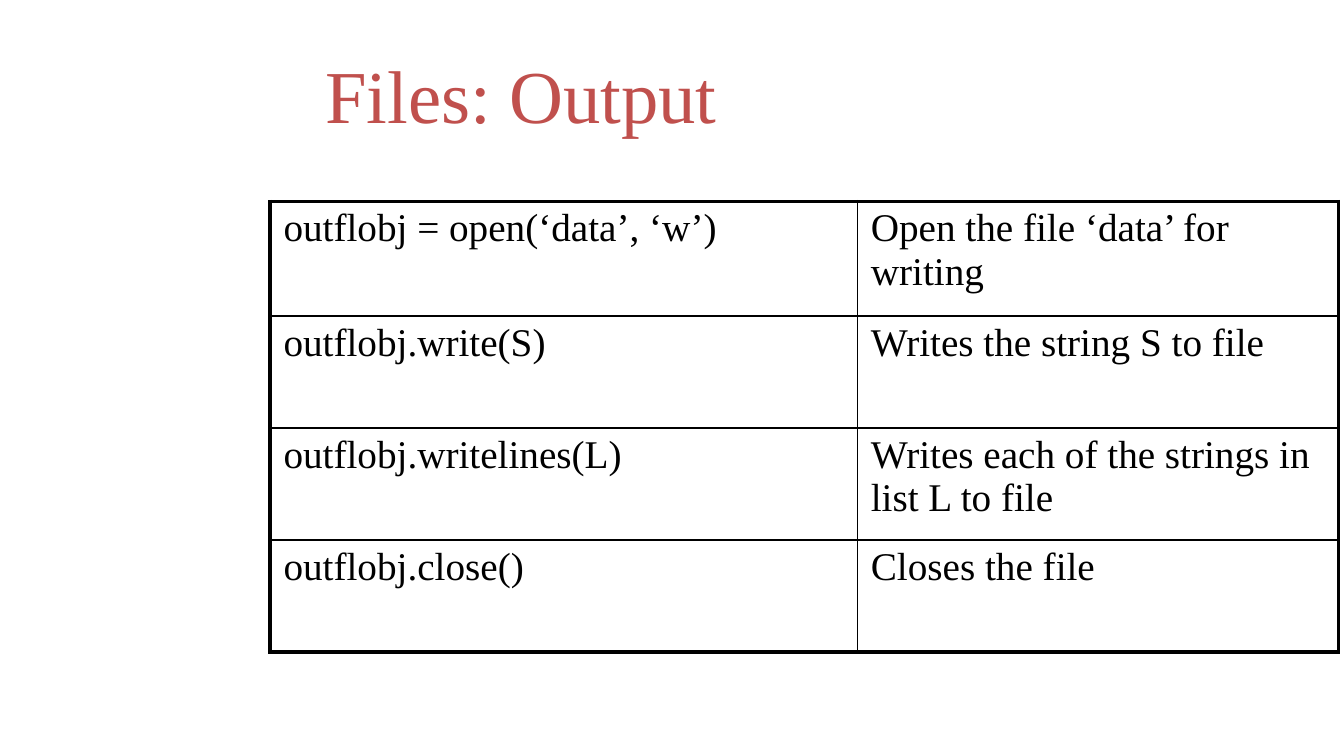
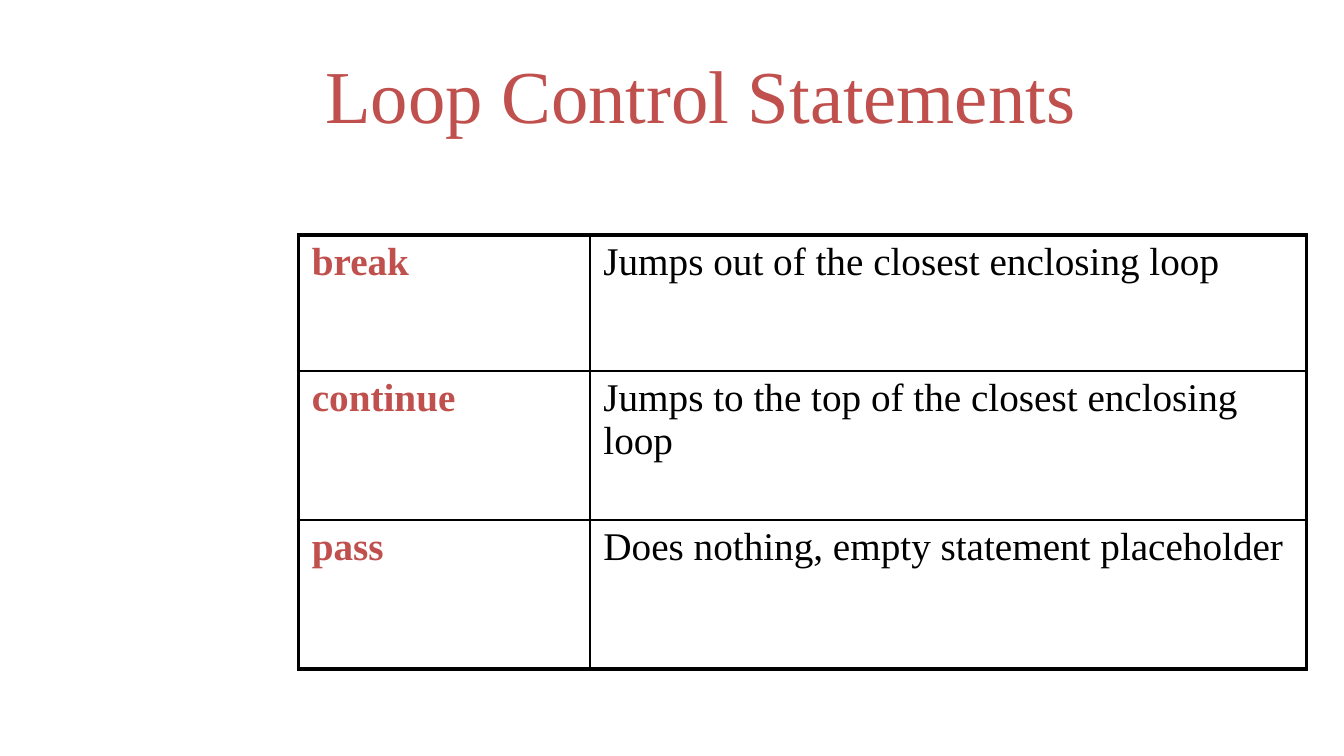
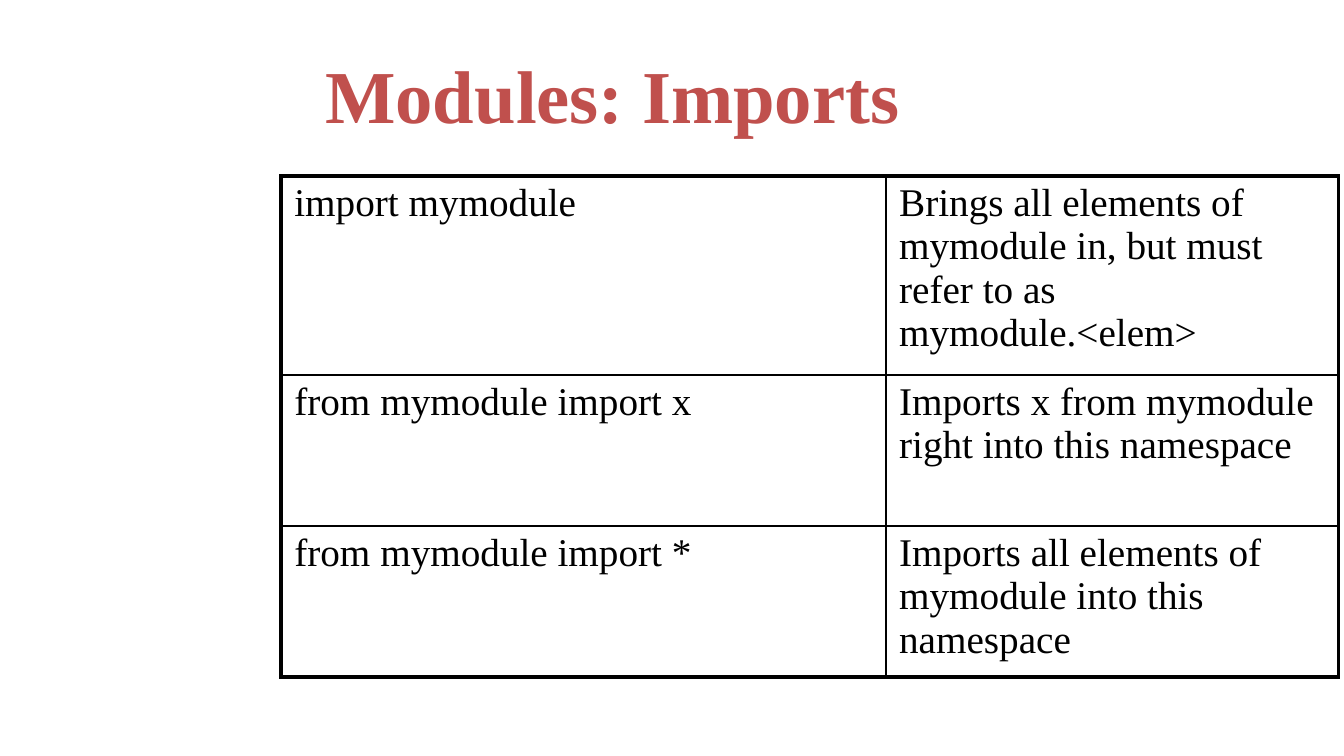
from dataclasses import dataclass

from lxml.etree import SubElement
from pptx import Presentation
from pptx.dml.color import RGBColor
from pptx.enum.text import MSO_ANCHOR, PP_ALIGN
from pptx.oxml.ns import qn
from pptx.util import Inches, Pt


@dataclass(frozen=True)
class Theme:
    font: str = "Times New Roman"
    ink: str = "000000"
    accent: str = "C0504D"
    title: int = 40
    body: int = 21
    frame: float = 2.25
    grid: float = 1


THEME = Theme()
TITLE_BOX = {"left": 2.32, "top": 0.23, "width": 7.18, "height": 0.94}
INSETS = {"margin_left": 0.1, "margin_top": 0.04,
          "margin_right": 0.1, "margin_bottom": 0.04}

# The first row has its own height; the others share what is left.
SLIDES = [
    {"title": "Files: Output", "bold": False, "keys": False,
     "left": 2.01, "top": 1.5, "cols": [4.37, 3.58],
     "height": 3.35, "first": 0.85,
     "rows": [
         ("outflobj = open(‘data’, ‘w’)", "Open the file ‘data’ for writing"),
         ("outflobj.write(S)", "Writes the string S to file"),
         ("outflobj.writelines(L)",
          "Writes each of the strings in list L to file"),
         ("outflobj.close()", "Closes the file")]},
    {"title": "Loop Control Statements", "bold": False, "keys": True,
     "left": 2.22, "top": 1.75, "cols": [2.17, 5.33],
     "height": 3.23, "first": 1.01,
     "rows": [
         ("break", "Jumps out of the closest enclosing loop"),
         ("continue", "Jumps to the top of the closest enclosing loop"),
         ("pass", "Does nothing, empty statement placeholder")]},
    {"title": "Modules: Imports", "bold": True, "keys": False,
     "left": 2.09, "top": 1.31, "cols": [4.5, 3.37],
     "height": 3.73, "first": 1.48,
     "rows": [
         ("import mymodule",
          "Brings all elements of mymodule in, "
          "but must refer to as mymodule.<elem>"),
         ("from mymodule import x",
          "Imports x from mymodule right into this namespace"),
         ("from mymodule import *",
          "Imports all elements of mymodule into this namespace")]},
]


def write(frame, text, size, color, bold):
    para = frame.paragraphs[0]
    para.alignment = PP_ALIGN.LEFT
    run = para.add_run()
    run.text = text
    style = {"name": THEME.font, "size": Pt(size), "bold": bold}
    for name, value in style.items():
        setattr(run.font, name, value)
    run.font.color.rgb = RGBColor.from_string(color)


def border(cell, outer):
    """Draw the four cell edges, heavier where the edge is on the outside."""
    props = cell._tc.get_or_add_tcPr()
    for side, heavy in outer.items():
        width = Pt(THEME.frame if heavy else THEME.grid)
        line = SubElement(props, qn(f"a:ln{side}"), w=str(width))
        fill = SubElement(line, qn("a:solidFill"))
        SubElement(fill, qn("a:srgbClr"), val=THEME.ink)


deck = Presentation()
deck.slide_width = Inches(10)
deck.slide_height = Inches(10) * 9 // 16

for page in SLIDES:
    slide = deck.slides.add_slide(deck.slide_layouts[5])
    head = slide.shapes.title
    for name, value in TITLE_BOX.items():
        setattr(head, name, Inches(value))
    head.text_frame.vertical_anchor = MSO_ANCHOR.MIDDLE
    write(head.text_frame, page["title"], THEME.title, THEME.accent,
          page["bold"])

    cols, rows, first = page["cols"], page["rows"], page["first"]
    table = slide.shapes.add_table(
        len(rows), len(cols), Inches(page["left"]), Inches(page["top"]),
        Inches(sum(cols)), Inches(page["height"])).table
    table.first_row = table.horz_banding = False
    for col, width in zip(table.columns, cols):
        col.width = Inches(width)
    share = (page["height"] - first) / (len(rows) - 1)
    for r, row in enumerate(table.rows):
        row.height = Inches(share if r else first)

    for r, texts in enumerate(rows):
        for c, text in enumerate(texts):
            cell = table.cell(r, c)
            for name, value in INSETS.items():
                setattr(cell, name, Inches(value))
            border(cell, {"L": c == 0, "R": c == len(cols) - 1,
                          "T": r == 0, "B": r == len(rows) - 1})
            cell.fill.background()
            key = page["keys"] and c == 0
            write(cell.text_frame, text, THEME.body,
                  THEME.accent if key else THEME.ink, key)

deck.save("out.pptx")
